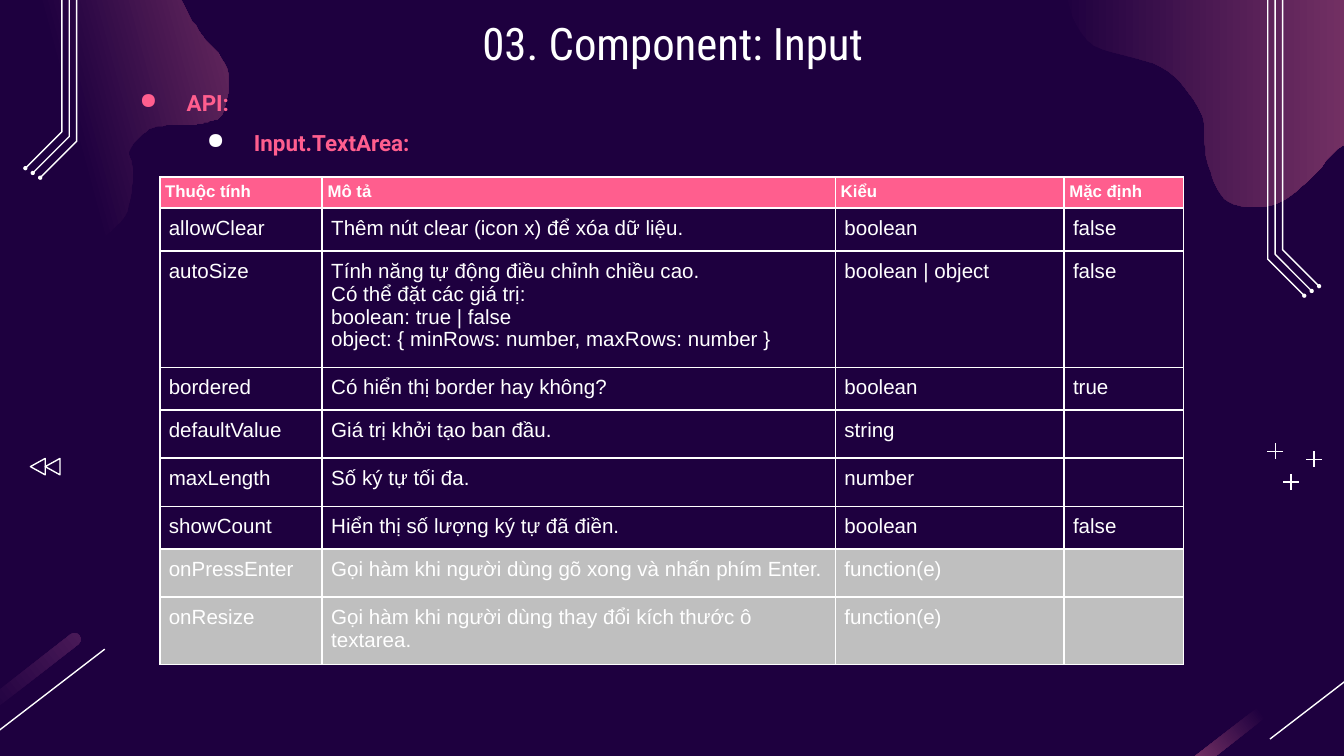
import pptx
import pptx.dml.color
import pptx.enum.shapes
import pptx.enum.text
import pptx.oxml
import pptx.oxml.ns
import pptx.util
from pptx.util import Cm, Pt

RGBColor = pptx.dml.color.RGBColor
NIGHT = RGBColor(0x1E, 0x00, 0x3F)
PLUM = RGBColor(0xA6, 0x4D, 0x79)
DIM_PLUM = RGBColor(0x4A, 0x1A, 0x58)
PINK = RGBColor(0xFF, 0x5E, 0x8E)
GRAY = RGBColor(0xBF, 0xBF, 0xBF)
WHITE = RGBColor(0xFF, 0xFF, 0xFF)
ShapeType = pptx.enum.shapes.MSO_SHAPE
NAMESPACE = pptx.oxml.ns.nsdecls("a")

presentation = pptx.Presentation()
presentation.slide_width = Cm(25.4)
presentation.slide_height = Cm(14.29)
slide = presentation.slides.add_slide(presentation.slide_layouts[6])
slide.background.fill.solid()
slide.background.fill.fore_color.rgb = NIGHT
shapes = slide.shapes


def fade(shape, start, end_color, angle):
    """Fade from the background colour, held until start, to end_color."""
    shape.shadow.inherit = False
    shape.line.fill.background()
    shape.fill.gradient()
    shape.fill.gradient_angle = angle
    first, last = shape.fill.gradient_stops
    first.color.rgb, first.position = NIGHT, start
    last.color.rgb, last.position = end_color, 1


def add_line(start_x, start_y, end_x, end_y):
    line = shapes.add_connector(
        pptx.enum.shapes.MSO_CONNECTOR.STRAIGHT,
        Cm(start_x), Cm(start_y), Cm(end_x), Cm(end_y))
    line.line.color.rgb = WHITE
    line.line.width = Pt(0.75)
    line._element.spPr.append(pptx.oxml.parse_xml(f"<a:effectLst {NAMESPACE}/>"))


# Corner blobs: closed smooth curves through anchors, in units of 0.0254 cm
left_blob = [
    (48, 190), (90, 165), (99, 131), (97, 111), (114, 95), (142, 93), (153, 91),
    (166, 84), (169, 51), (148, 23), (133, -7), (143, -31), (159, -39), (190, -41),
    (223, -42), (252, -58), (258, -87), (233, -134), (167, -151), (70, -95),
    (54, -90), (-47, -82), (-91, -74), (-128, -61), (-174, -30), (-194, 22),
    (-156, 80), (-88, 99), (-46, 106), (-13, 133), (-3, 166)]
right_blob = [
    (1125, 38), (1105, -35), (1058, -77), (989, -84), (929, -113), (897, -141),
    (852, -143), (819, -129), (793, -78), (789, -38), (790, -18), (809, 30),
    (864, 50), (893, 83), (898, 119), (914, 150), (949, 152), (978, 130),
    (995, 111), (1018, 106), (1052, 138), (1117, 88)]
STEPS = 8
for anchors, start, angle in [(left_blob, 0.5, 15), (right_blob, 0, 0)]:
    outline = []
    for i in range(len(anchors)):
        a, b, c, d = (anchors[(i + k) % len(anchors)] for k in (-1, 0, 1, 2))
        for step in range(STEPS):
            t = step / STEPS
            outline.append(tuple(
                b[n] + t * (c[n] - a[n]) / 2
                + t * t * (2 * a[n] - 5 * b[n] + 4 * c[n] - d[n]) / 2
                + t ** 3 * (3 * b[n] - a[n] - 3 * c[n] + d[n]) / 2
                for n in (0, 1)))
    builder = shapes.build_freeform(*outline[0], scale=Cm(0.0254))
    builder.add_line_segments(outline[1:], close=True)
    fade(builder.convert_to_shape(), start, PLUM, angle)

# Slanted streaks and lines in the bottom corners
for center_x, line_x, color, angle in [(-0.36, -0.23, DIM_PLUM, 0),
                                       (23.85, 24, PLUM, 180)]:
    streak = shapes.add_shape(ShapeType.ROUNDED_RECTANGLE, Cm(center_x - 2.36),
                              Cm(13.34), Cm(4.72), Cm(0.24))
    streak.adjustments[0] = 0.5
    streak.rotation = -37.9
    fade(streak, 0.5, color, angle)
    add_line(line_x + 2.21, 12.27, line_x, 13.97)

# Circuit lines with end dots, stepping away from the slide edge
for edge_x, top, bend_y, side in [(24.24, -3.02, 4.72, 1), (1.17, -5.26, 2.49, -1)]:
    for k in range(3):
        x = edge_x - side * 0.14 * k
        y = bend_y + 0.09 * k
        end_x, end_y = x + side * 0.69, y + 0.69
        builder = shapes.build_freeform(Cm(x), Cm(top))
        builder.add_line_segments(
            [(Cm(x), Cm(y)), (Cm(end_x), Cm(end_y))], close=False)
        wire = builder.convert_to_shape()
        wire.shadow.inherit = False
        wire.fill.background()
        wire.line.color.rgb = WHITE
        wire.line.width = Pt(0.75)
        dot = shapes.add_shape(ShapeType.OVAL, Cm(end_x - 0.04), Cm(end_y - 0.04),
                               Cm(0.08), Cm(0.08))
        dot.shadow.inherit = False
        dot.fill.solid()
        dot.fill.fore_color.rgb = WHITE
        dot.line.fill.background()

# Plus signs
for x, y in [(24.4, 9.11), (24.83, 8.68), (24.1, 8.53)]:
    add_line(x - 0.15, y, x + 0.15, y)
    add_line(x, y - 0.15, x, y + 0.15)

# Rewind symbol
for left in (0.56, 0.84):
    triangle = shapes.add_shape(ShapeType.ISOSCELES_TRIANGLE, Cm(left), Cm(8.68),
                                Cm(0.31), Cm(0.28))
    triangle.rotation = 270
    triangle.shadow.inherit = False
    triangle.fill.background()
    triangle.line.color.rgb = WHITE
    triangle.line.width = Pt(0.75)

# Bulleted headings
headings = shapes.add_textbox(Cm(2.01), Cm(1.3), Cm(20.62), Cm(1.85)).text_frame
headings.word_wrap = True
headings.text = "API:\nInput.TextArea:"
for level, (paragraph, bullet_color) in enumerate(
        zip(headings.paragraphs, (PINK, WHITE))):
    paragraph.level = level
    paragraph.line_spacing = 1.5
    properties = paragraph._p.get_or_add_pPr()
    properties.set("marL", str(Cm(1.27 * (level + 1))))
    properties.set("indent", str(Cm(-0.89)))
    for bullet in (f'<a:buClr {NAMESPACE}><a:srgbClr val="{bullet_color}"/></a:buClr>',
                   f'<a:buChar {NAMESPACE} char="●"/>'):
        properties.append(pptx.oxml.parse_xml(bullet))
    font = paragraph.runs[0].font
    font.name, font.size, font.bold = "Roboto", Pt(12), True
    font.color.rgb = PINK

# Title
title = shapes.add_textbox(Cm(2.01), Cm(0), Cm(21.41), Cm(1.6)).text_frame
title.word_wrap = True
title.vertical_anchor = pptx.enum.text.MSO_ANCHOR.MIDDLE
title.text = "03. Component: Input"
title.paragraphs[0].alignment = pptx.enum.text.PP_ALIGN.CENTER
font = title.paragraphs[0].runs[0].font
font.name, font.size = "Roboto Condensed", Pt(24)
font.color.rgb = WHITE

# Property table
rows = [
    ("Thuộc tính", "Mô tả", "Kiểu", "Mặc định"),
    ("allowClear", "Thêm nút clear (icon x) để xóa dữ liệu.", "boolean", "false"),
    ("autoSize", "Tính năng tự động điều chỉnh chiều cao.\nCó thể đặt các giá trị:\n"
     "boolean: true | false\nobject: { minRows: number, maxRows: number }",
     "boolean | object", "false"),
    ("bordered", "Có hiển thị border hay không?", "boolean", "true"),
    ("defaultValue", "Giá trị khởi tạo ban đầu.", "string", ""),
    ("maxLength", "Số ký tự tối đa.", "number", ""),
    ("showCount", "Hiển thị số lượng ký tự đã điền.", "boolean", "false"),
    ("onPressEnter", "Gọi hàm khi người dùng gõ xong và nhấn phím Enter.",
     "function(e)", ""),
    ("onResize", "Gọi hàm khi người dùng thay đổi kích thước ô textarea.",
     "function(e)", ""),
]
column_widths = [3.07, 9.7, 4.32, 2.26]
row_heights = [0.57, 0.78, 2.08, 0.78, 0.91, 0.91, 0.78, 0.91, 1.22]
table = shapes.add_table(len(rows), len(column_widths), Cm(3.02), Cm(3.35),
                         Cm(sum(column_widths)), Cm(sum(row_heights))).table
for column, width in zip(table.columns, column_widths):
    column.width = Cm(width)
for i, (values, height) in enumerate(zip(rows, row_heights)):
    table.rows[i].height = Cm(height)
    for cell, value in zip(table.rows[i].cells, values):
        cell.text = value
        margin = 0.1 if i == 0 else 0.17
        cell.margin_left = cell.margin_right = Cm(margin)
        cell.margin_top = cell.margin_bottom = Cm(margin if value else 0)
        for paragraph in cell.text_frame.paragraphs:
            for run in paragraph.runs:
                run.font.name = "Arial"
                run.font.size = Pt(9 if i == 0 else 11)
                run.font.bold = i == 0
                run.font.color.rgb = WHITE
        cell_properties = cell._tc.get_or_add_tcPr()
        for side in ("lnL", "lnR", "lnT", "lnB"):
            cell_properties.append(pptx.oxml.parse_xml(
                f'<a:{side} {NAMESPACE} w="{Pt(1)}"><a:solidFill>'
                f'<a:srgbClr val="{WHITE}"/></a:solidFill></a:{side}>'))
        if 0 < i < 7:
            cell.fill.background()
        else:
            cell.fill.solid()
            cell.fill.fore_color.rgb = PINK if i == 0 else GRAY

presentation.save("out.pptx")
